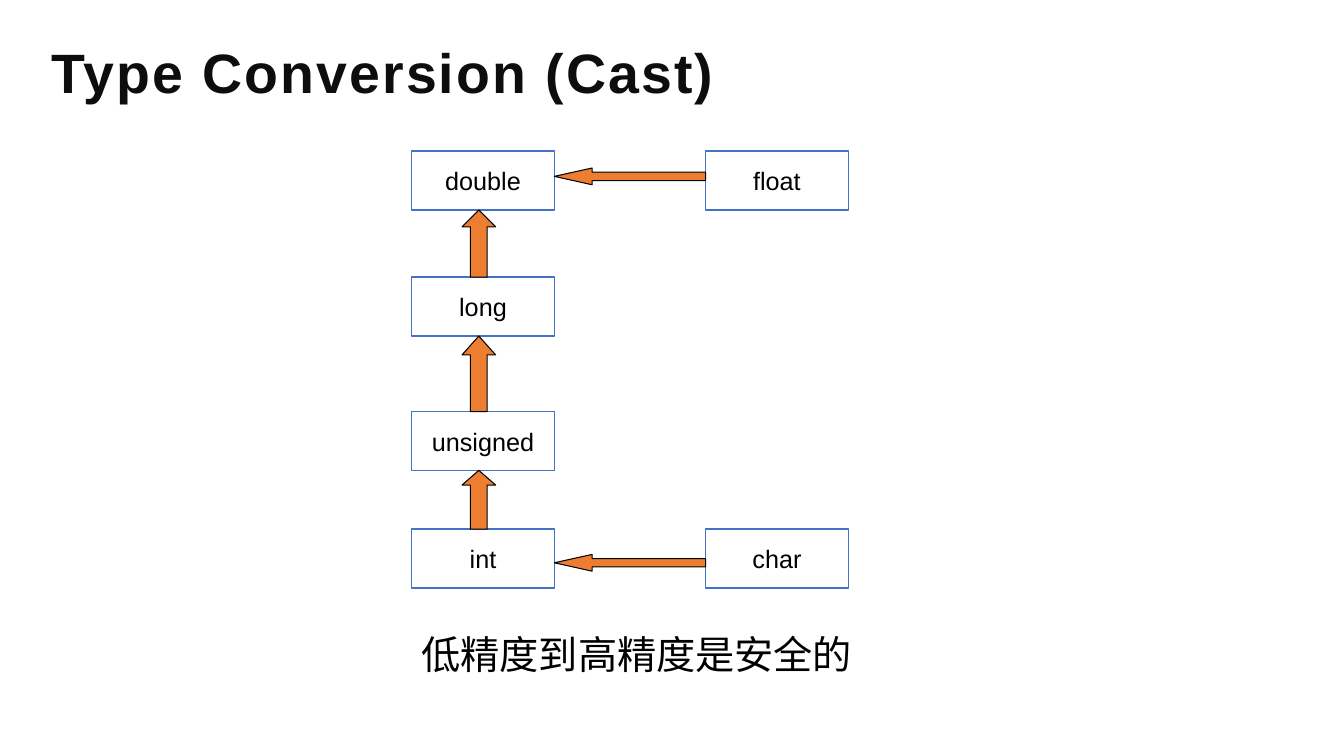
from lxml.etree import SubElement
from pptx import Presentation
from pptx.dml.color import RGBColor
from pptx.enum.shapes import MSO_SHAPE
from pptx.enum.text import MSO_ANCHOR, PP_ALIGN
from pptx.oxml.ns import qn
from pptx.util import Pt

WHITE = RGBColor(0xFF, 0xFF, 0xFF)
BLACK = RGBColor(0x00, 0x00, 0x00)
INK = RGBColor(0x0D, 0x0D, 0x0D)
BLUE = RGBColor(0x44, 0x72, 0xC4)
ORANGE = RGBColor(0xED, 0x7D, 0x31)

BOX_W, BOX_H = 102, 42
LEFT, RIGHT = 294, 504
ARROW_W, ARROW_H = 24, 12


def write(shape, text, size, font="Arial", color=BLACK, bold=False, spacing=0,
          align=PP_ALIGN.LEFT, anchor=MSO_ANCHOR.TOP, wrap=True, line_spacing=1.0):
    tf = shape.text_frame
    tf.word_wrap = wrap
    tf.vertical_anchor = anchor
    p = tf.paragraphs[0]
    p.alignment = align
    p.line_spacing = line_spacing
    r = p.add_run()
    r.text = text
    r.font.size = Pt(size)
    r.font.bold = bold
    r.font.color.rgb = color
    r.font.name = font
    rPr = r.font._element
    SubElement(rPr, qn("a:ea")).set("typeface", font)
    if spacing:
        rPr.set("spc", str(round(spacing * 100)))


def add_outlined(kind, x, y, w, h, fill, line, line_width):
    shape = s.shapes.add_shape(kind, Pt(x), Pt(y), Pt(w), Pt(h))
    shape.shadow.inherit = False
    shape.fill.solid()
    shape.fill.fore_color.rgb = fill
    shape.line.color.rgb = line
    shape.line.width = Pt(line_width)
    return shape


prs = Presentation()
prs.slide_width, prs.slide_height = Pt(960), Pt(540)
s = prs.slides.add_slide(prs.slide_layouts[6])

title = s.shapes.add_textbox(Pt(30), Pt(28), Pt(683), Pt(52))
write(title, "Type Conversion (Cast)", 39.6, color=INK, bold=True, spacing=1.5,
      anchor=MSO_ANCHOR.MIDDLE, line_spacing=0.9)

types = [
    ("double", LEFT, 108), ("float", RIGHT, 108), ("long", LEFT, 198),
    ("unsigned", LEFT, 294), ("int", LEFT, 378), ("char", RIGHT, 378),
]
for name, x, y in types:
    box = add_outlined(MSO_SHAPE.RECTANGLE, x, y, BOX_W, BOX_H, WHITE, BLUE, 1)
    write(box, name, 18, align=PP_ALIGN.CENTER, anchor=MSO_ANCHOR.MIDDLE, wrap=False)

# Up arrows fill the gaps between stacked boxes; left arrows join the columns
tops = [y for name, x, y in types if x == LEFT]
arrows = [
    (MSO_SHAPE.UP_ARROW, 330, upper + BOX_H, ARROW_W, lower - upper - BOX_H)
    for upper, lower in zip(tops, tops[1:])
]
arrows += [
    (MSO_SHAPE.LEFT_ARROW, LEFT + BOX_W, y, RIGHT - LEFT - BOX_W, ARROW_H)
    for y in (120, 396)
]
for kind, x, y, w, h in arrows:
    arrow = add_outlined(kind, x, y, w, h, ORANGE, BLACK, 0.75)
    # The head takes a quarter of the arrow's length
    arrow.adjustments[1] = max(w, h) / 4 / min(w, h)

note = s.shapes.add_textbox(Pt(LEFT), Pt(446.5), Pt(330), Pt(41))
write(note, "低精度到高精度是安全的", 28, font="Noto Sans CJK SC")

prs.save("out.pptx")
